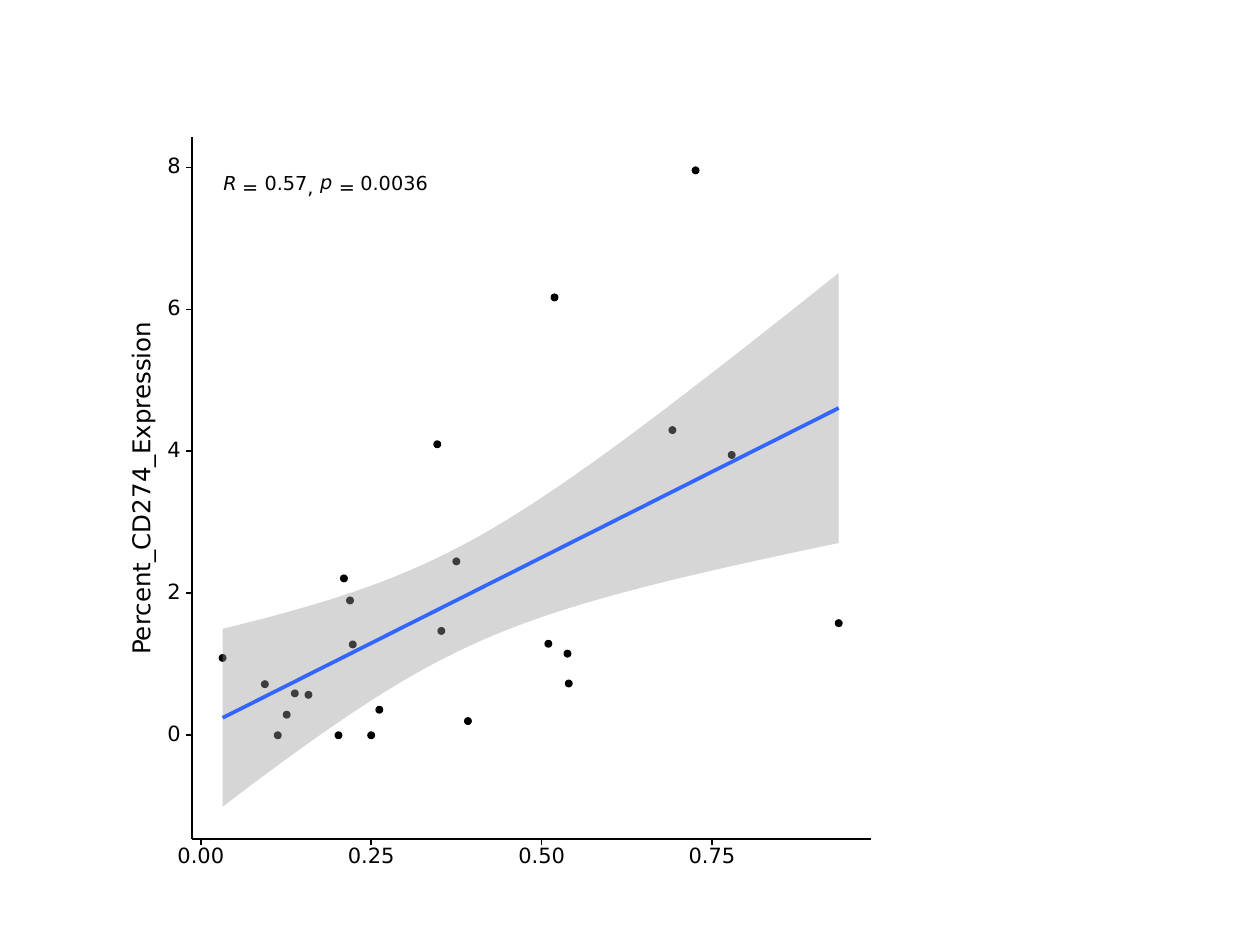
import math
import pptx
import pptx.dml.color
import pptx.enum.shapes
import pptx.enum.text
import pptx.oxml.ns
import pptx.util
from lxml import etree

Pt = pptx.util.Pt
SHAPES = pptx.enum.shapes.MSO_SHAPE
FONT = "DejaVu Sans"
COLORS = {"ink": "000000", "paper": "FFFFFF", "band": "999999", "fit": "3366FF"}

X_RANGE = (-1.3, 98.28)
Y_RANGE = (-1.46, 8.43)
X_TICKS = (0, 25, 50, 75)
Y_TICKS = (0, 2, 4, 6, 8)
T_QUANTILE = 2.07
BAND_STEPS = 79
TICK = 3.4

SAMPLES = [
    (93.6, 1.58), (21.0, 2.21), (35.3, 1.47), (72.6, 7.96), (37.5, 2.45), (25.0, 0),
    (77.9, 3.95), (39.2, 0.2), (53.8, 1.15), (3.2, 1.09), (22.3, 1.28), (34.7, 4.1),
    (51.0, 1.29), (54.0, 0.73), (11.3, 0), (21.9, 1.9), (12.6, 0.29), (26.2, 0.36),
    (69.2, 4.3), (9.4, 0.72), (13.8, 0.59), (15.8, 0.57), (51.9, 6.17), (20.2, 0),
]

STATISTIC = [
    ("R", 17.9, 23.2, 7.9, 7.9, True),
    ("=", 28.7, 28.3, 9.4, 2.9, False),
    ("0.57", 41.5, 23.2, 25.5, 8.6, False),
    (",", 66.0, 28.3, 3.6, 2.9, False),
    ("p", 73.2, 22.5, 7.2, 8.6, True),
    ("=", 84.0, 28.3, 9.4, 2.9, False),
    ("0.0036", 96.2, 23.2, 40, 8.6, False),
]


def rgb(name):
    return pptx.dml.color.RGBColor.from_string(COLORS[name])


def add_preset(shapes, kind, box, color, line_width):
    shape = shapes.add_shape(kind, *map(Pt, box))
    shape.shadow.inherit = False
    shape.fill.solid()
    shape.fill.fore_color.rgb = rgb(color)
    shape.line.color.rgb = rgb(color)
    shape.line.width = Pt(line_width)


def add_line(shapes, start, end, color="ink", width=1.07):
    line = shapes.add_connector(
        pptx.enum.shapes.MSO_CONNECTOR.STRAIGHT, *map(Pt, start + end))
    line.line.color.rgb = rgb(color)
    line.line.width = Pt(width)
    etree.SubElement(line._element.spPr, pptx.oxml.ns.qn("a:effectLst"))


def add_label(shapes, text, box, size, italic=False, rotation=0):
    label = shapes.add_textbox(*map(Pt, box))
    label.rotation = rotation
    frame = label.text_frame
    frame.margin_left = frame.margin_right = frame.margin_top = frame.margin_bottom = 0
    frame.word_wrap = False
    frame.vertical_anchor = pptx.enum.text.MSO_ANCHOR.MIDDLE
    frame.text = text
    para = frame.paragraphs[0]
    para.line_spacing = Pt(size)
    span = para.runs[0]
    span.font.name = FONT
    span.font.size = Pt(size)
    span.font.italic = italic or None
    span.font.color.rgb = rgb("ink")


def scale_to(panel):
    left, top, width, height = panel

    def place(x, y):
        across = (x - X_RANGE[0]) / (X_RANGE[1] - X_RANGE[0])
        up = (y - Y_RANGE[0]) / (Y_RANGE[1] - Y_RANGE[0])
        return left + width * across, top + height * (1 - up)

    return place


def regression(samples):
    count = len(samples)
    mean_x = sum(x for x, y in samples) / count
    mean_y = sum(y for x, y in samples) / count
    spread = sum((x - mean_x) ** 2 for x, y in samples)
    slope = sum((x - mean_x) * (y - mean_y) for x, y in samples) / spread

    def fit(x):
        return mean_y + slope * (x - mean_x)

    error = math.sqrt(sum((y - fit(x)) ** 2 for x, y in samples) / (count - 2))

    def margin(x):
        return T_QUANTILE * error * math.sqrt(1 / count + (x - mean_x) ** 2 / spread)

    return fit, margin


def draw_samples(shapes, panel):
    place = scale_to(panel)
    size = 3.8
    for sample in SAMPLES:
        x, y = place(*sample)
        add_preset(shapes, SHAPES.OVAL, (x - size / 2, y - size / 2, size, size), "ink", 0.71)


def draw_fit(shapes, panel):
    place = scale_to(panel)
    fit, margin = regression(SAMPLES)
    first = min(x for x, y in SAMPLES)
    last = max(x for x, y in SAMPLES)
    grid = [first + (last - first) * step / BAND_STEPS for step in range(BAND_STEPS + 1)]
    upper = [place(x, fit(x) + margin(x)) for x in grid]
    lower = [place(x, fit(x) - margin(x)) for x in reversed(grid)]
    outline = [(Pt(x), Pt(y)) for x, y in upper + lower]
    builder = shapes.build_freeform(*outline[0])
    builder.add_line_segments(outline[1:], close=True)
    band = builder.convert_to_shape()
    band.shadow.inherit = False
    band.fill.solid()
    band.fill.fore_color.rgb = rgb("band")
    band.line.fill.background()
    color = band._element.spPr.find(".//" + pptx.oxml.ns.qn("a:srgbClr"))
    etree.SubElement(color, pptx.oxml.ns.qn("a:alpha"), val="40000")
    add_line(shapes, place(first, fit(first)), place(last, fit(last)), "fit", 2.13)


def draw_statistic(shapes, panel):
    for text, across, down, width, height, italic in STATISTIC:
        box = (panel[0] + across, panel[1] + down, width, height)
        add_label(shapes, text, box, 11, italic)


def draw_axes(shapes, panel):
    left, top, width, height = panel
    bottom = top + height
    place = scale_to(panel)
    add_line(shapes, (left, bottom), (left, top))
    add_line(shapes, (left, bottom), (left + width, bottom))
    for value in Y_TICKS:
        y = place(0, value)[1]
        add_line(shapes, (left - TICK, y), (left, y))
        add_label(shapes, str(value), (left - 14, y - 4.8, 7.9, 9), 12)
    for value in X_TICKS:
        x = place(value, 0)[0]
        add_line(shapes, (x, bottom + TICK), (x, bottom))
        add_label(shapes, f"{value / 100:.2f}", (x - 13.3, bottom + 5.8, 28, 9.4), 12)
    title_width, title_height = 190.8, 13.7
    title = (left - 28 - title_width / 2, top + height / 2 - title_height / 2,
             title_width, title_height)
    add_label(shapes, "Percent_CD274_Expression", title, 14, rotation=270)


def draw_plot(page, box):
    shapes = page.shapes.add_group_shape().shapes
    left, top, width, height = box
    panel = (left + 37.7, top + 6.3, width - 44.2, height - 30.9)
    add_preset(shapes, SHAPES.RECTANGLE, box, "paper", 0.75)
    draw_samples(shapes, panel)
    draw_fit(shapes, panel)
    draw_statistic(shapes, panel)
    draw_axes(shapes, panel)


deck = pptx.Presentation()
deck.slide_width = Pt(720)
deck.slide_height = Pt(540)
page = deck.slides.add_slide(deck.slide_layouts[6])
draw_plot(page, (72, 72, 432, 432))
deck.save("out.pptx")
